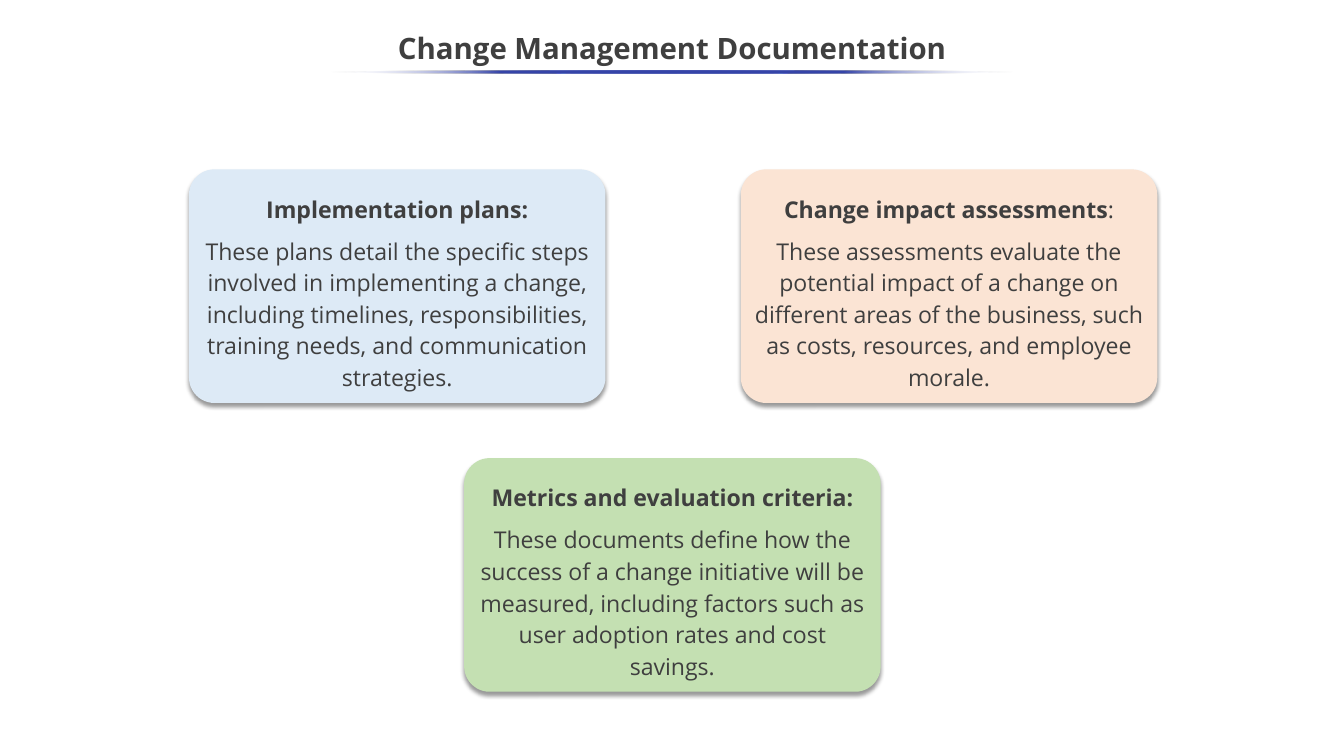
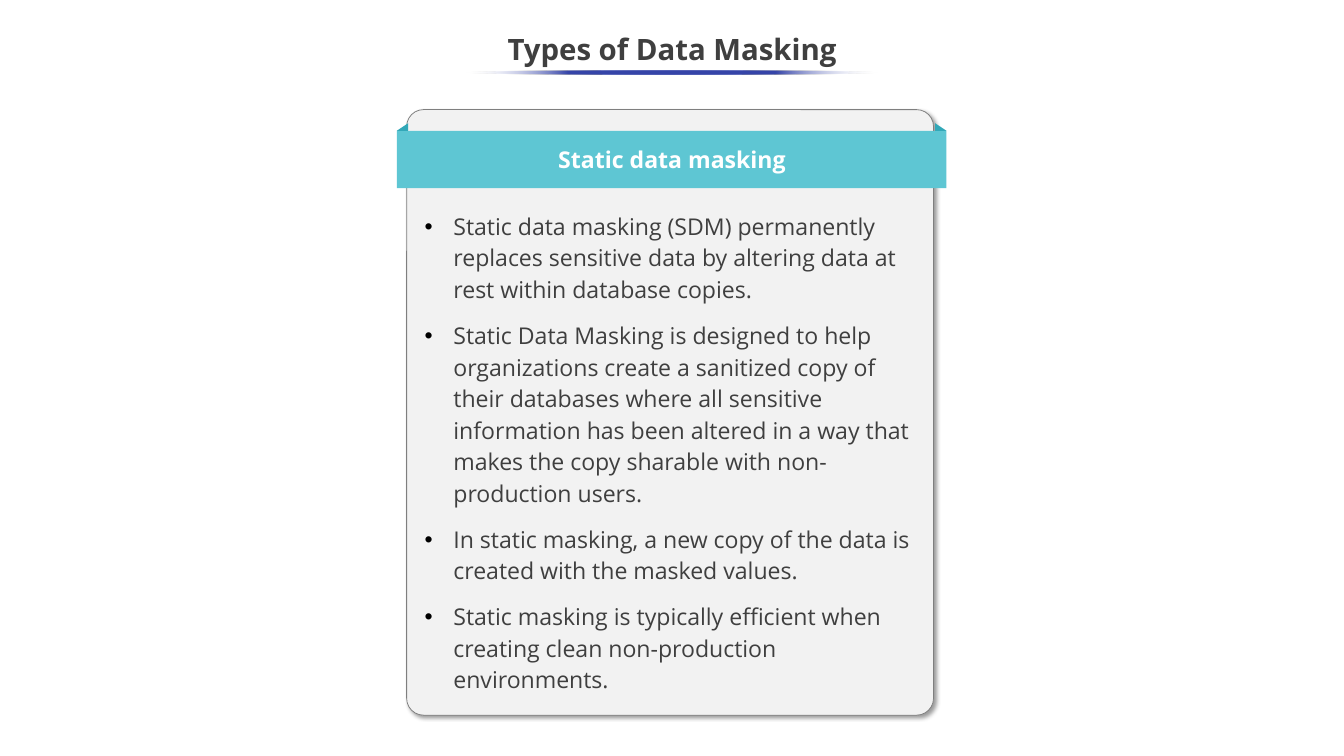
from lxml.etree import SubElement
from pptx import Presentation
from pptx.dml.color import RGBColor
from pptx.enum.shapes import MSO_SHAPE as Shape
from pptx.enum.text import MSO_ANCHOR as Anchor, PP_ALIGN as Align
from pptx.oxml import parse_xml
from pptx.oxml.ns import nsdecls, qn
from pptx.util import Emu, Inches, Pt

# Shared style
WIDTH, HEIGHT = 17.78, 10
FONT = "Open Sans"
INK, WHITE, ACCENT = "3F3F3F", "FFFFFF", "3645A9"
TITLE_SIZE, BODY_SIZE = 28, 22
LINE_SPACING = 1.14

# Content: each paragraph is a list of (text, bold) runs
CARD_TITLE = "Change Management Documentation"
CARD_SIZE = (5.51, 3.09)
CARDS = [
    (2.5, 2.24, "DDEAF6", [("Implementation plans:", True)],
     "These plans detail the specific steps involved in implementing a change, "
     "including timelines, responsibilities, training needs, and communication strategies."),
    (9.8, 2.24, "FBE4D4", [("Change impact assessments", True), (":", False)],
     "These assessments evaluate the potential impact of a change on different areas "
     "of the business, such as costs, resources, and employee morale."),
    (6.14, 6.06, "C4E0B2", [("Metrics and evaluation criteria:", True)],
     "These documents define how the success of a change initiative will be measured, "
     "including factors such as user adoption rates and cost savings."),
]
MASKING_TITLE = "Types of Data Masking"
RIBBON_LABEL = "Static data masking"
MASKING_POINTS = [
    "Static data masking (SDM) permanently replaces sensitive data by altering data "
    "at rest within database copies.",
    "Static Data Masking is designed to help organizations create a sanitized copy of "
    "their databases where all sensitive information has been altered in a way that "
    "makes the copy sharable with non-production users.",
    "In static masking, a new copy of the data is created with the masked values.",
    "Static masking is typically efficient when creating clean non-production environments.",
]


def color(hex_value):
    return RGBColor.from_string(hex_value)


def add_shape(parent, kind, left, top, width, height, fill=None, line=None, radius=None):
    shape = parent.shapes.add_shape(kind, *map(Inches, (left, top, width, height)))
    shape.shadow.inherit = False
    if radius is not None:
        shape.adjustments[0] = radius
    if fill:
        shape.fill.solid()
        shape.fill.fore_color.rgb = color(fill)
    if line:
        shape.line.color.rgb = color(line)
        shape.line.width = Pt(0.75)
    else:
        shape.line.fill.background()
    return shape


def add_shadow(shape, angle):
    effects = shape._element.spPr.find(qn("a:effectLst"))
    effects.append(parse_xml(
        f'<a:outerShdw {nsdecls("a")} blurRad="{Pt(4)}" dist="{Pt(3)}" dir="{angle * 60000}" '
        'algn="ctr" rotWithShape="0"><a:srgbClr val="000000"><a:alpha val="40000"/>'
        '</a:srgbClr></a:outerShdw>'))


def add_bullet(paragraph, indent):
    properties = paragraph._p.get_or_add_pPr()
    properties.set("marL", str(Inches(indent)))
    properties.set("indent", str(-Inches(indent)))
    bullet_color = SubElement(properties, qn("a:buClr"))
    SubElement(bullet_color, qn("a:srgbClr")).set("val", "000000")
    SubElement(properties, qn("a:buFont")).set("typeface", "Arial")
    SubElement(properties, qn("a:buChar")).set("char", "•")


def write(shape, paragraphs, size=BODY_SIZE, ink=INK, align=Align.CENTER, anchor=Anchor.TOP,
          spacing=1.0, gap=0, insets=(0.1, 0.05, 0.1, 0.05), bullet_indent=None):
    frame = shape.text_frame
    frame.word_wrap = True
    frame.vertical_anchor = anchor
    (frame.margin_left, frame.margin_top,
     frame.margin_right, frame.margin_bottom) = map(Inches, insets)
    for index, runs in enumerate(paragraphs):
        paragraph = frame.add_paragraph() if index else frame.paragraphs[0]
        paragraph.alignment = align
        paragraph.line_spacing = spacing
        paragraph.space_before = Pt(gap if index else 0)
        if bullet_indent:
            add_bullet(paragraph, bullet_indent)
        for text, bold in runs:
            run = paragraph.add_run()
            run.text = text
            run.font.name, run.font.size, run.font.bold = FONT, Pt(size), bold
            run.font.color.rgb = color(ink)


def add_text(parent, left, top, width, height, paragraphs, **style):
    box = parent.shapes.add_textbox(*map(Inches, (left, top, width, height)))
    write(box, paragraphs, **style)


def add_title(slide, title, top, rule_top, rule_width):
    add_text(slide, 0, top, WIDTH, 0.75, [[(title, True)]],
             size=TITLE_SIZE, anchor=Anchor.MIDDLE, spacing=0.9)
    rule = add_shape(slide, Shape.OVAL, (WIDTH - rule_width) / 2, rule_top, rule_width, 0.04, ACCENT)
    # Accent colour in the middle, fading to clear at both ends
    stops = "".join(
        f'<a:gs pos="{position * 1000}"><a:srgbClr val="{tone}"><a:alpha val="{alpha}"/>'
        '</a:srgbClr></a:gs>'
        for position, tone, alpha in [(0, WHITE, 0), (25, ACCENT, 100000), (50, ACCENT, 100000),
                                      (75, ACCENT, 100000), (100, WHITE, 0)])
    properties = rule._element.spPr
    properties.replace(properties.find(qn("a:solidFill")), parse_xml(
        f'<a:gradFill {nsdecls("a")} rotWithShape="1"><a:gsLst>{stops}</a:gsLst>'
        '<a:lin ang="10800000" scaled="0"/></a:gradFill>'))


def build_cards(slide):
    for left, top, fill, heading, body in CARDS:
        card = add_shape(slide, Shape.ROUNDED_RECTANGLE, left, top, *CARD_SIZE, fill, radius=0.109)
        add_shadow(card, 90)
        write(card, [heading, [(body, False)]], spacing=LINE_SPACING, gap=10,
              insets=(0.05, 0.19, 0.05, 0.05))
    add_title(slide, CARD_TITLE, 0.29, 0.93, 9.07)


def build_masking(slide):
    # Panel and its bullet list
    panel = add_shape(slide, Shape.ROUNDED_RECTANGLE, 5.38, 1.45, 6.97, 8.01,
                      "F2F2F2", line="7F7F7F", radius=0.032)
    add_shadow(panel, 45)
    add_text(slide, 5.52, 2.67, 6.76, 6.59, [[(point, False)] for point in MASKING_POINTS],
             align=Align.LEFT, anchor=Anchor.MIDDLE, spacing=LINE_SPACING, gap=13.7,
             bullet_indent=0.38)
    # Ribbon with a folded corner at each end
    left, top, width, fold_width, fold_height = 5.25, 1.73, 7.27, 0.15, 0.1
    ribbon = slide.shapes.add_group_shape()
    add_shape(ribbon, Shape.RECTANGLE, left, top, width, 0.76, "5EC6D3")
    add_text(ribbon, 6.92, 1.87, 3.94, 0.47, [[(RIBBON_LABEL, True)]], ink=WHITE)
    for fold_left, flipped in [(left, True), (left + width - fold_width, False)]:
        fold = add_shape(ribbon, Shape.RIGHT_TRIANGLE, fold_left, top - fold_height,
                         fold_width, fold_height, "32A8B8")
        if flipped:
            fold._element.spPr.xfrm.set("flipH", "1")
    add_title(slide, MASKING_TITLE, 0.3, 0.94, 5.45)


def main():
    presentation = Presentation()
    presentation.slide_width, presentation.slide_height = Inches(WIDTH), Inches(HEIGHT)
    blank = presentation.slide_layouts[6]
    for build in (build_cards, build_masking):
        build(presentation.slides.add_slide(blank))
    presentation.save("out.pptx")


if __name__ == "__main__":
    main()
